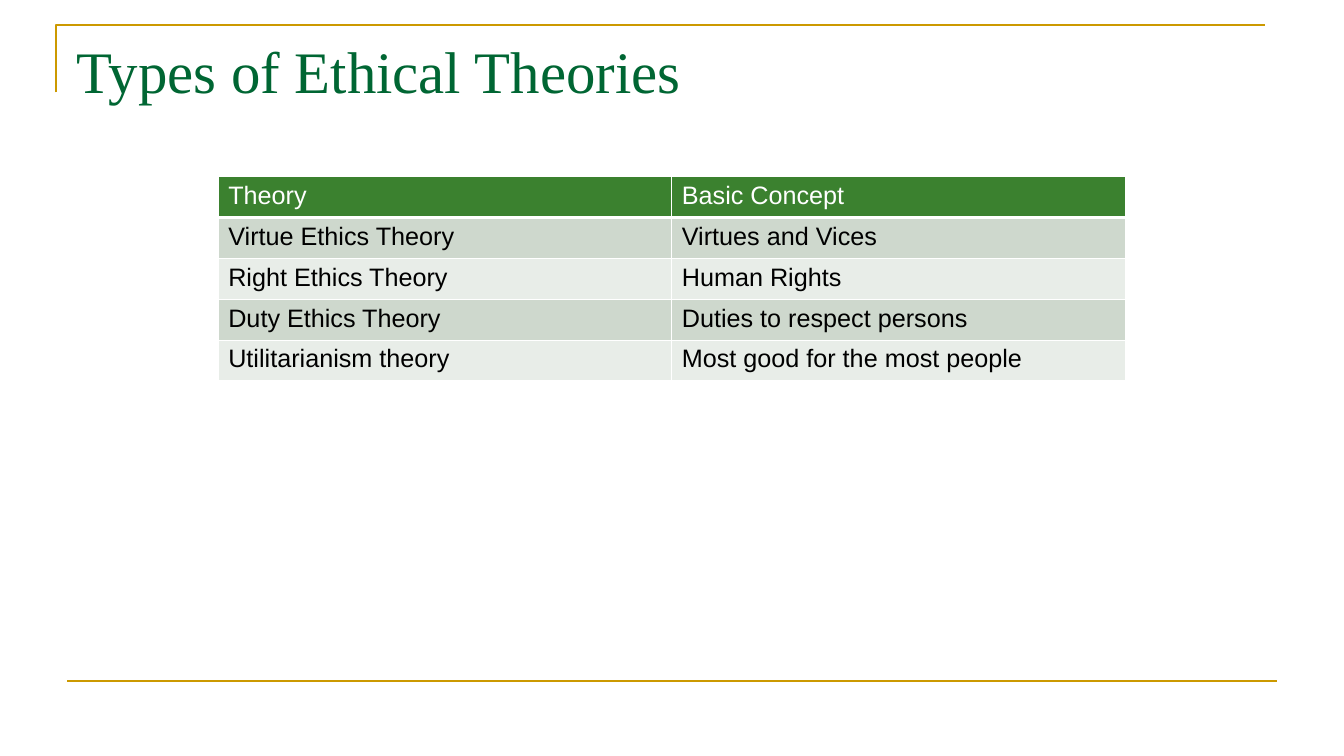
import dataclasses

import pptx
import pptx.dml.color
import pptx.enum.shapes
import pptx.enum.text
import pptx.oxml
import pptx.oxml.ns
import pptx.util

Cm = pptx.util.Cm
Pt = pptx.util.Pt


@dataclasses.dataclass(frozen=True)
class Theme:
    rule: str = "CC9900"
    title: str = "006633"
    header: str = "3B812F"
    bands: tuple = ("CED8CD", "E8EDE8")
    border: str = "FFFFFF"
    header_text: str = "FFFFFF"
    body_text: str = "000000"
    title_font: str = "Times New Roman"
    body_font: str = "Arial"
    title_size: float = 42
    body_size: float = 18
    rule_width: float = 1.5
    border_width: float = 1
    header_border_width: float = 3


THEME = Theme()

THEORIES = [
    ("Theory", "Basic Concept"),
    ("Virtue Ethics Theory", "Virtues and Vices"),
    ("Right Ethics Theory", "Human Rights"),
    ("Duty Ethics Theory", "Duties to respect persons"),
    ("Utilitarianism theory", "Most good for the most people"),
]


def rgb(value):
    return pptx.dml.color.RGBColor.from_string(value)


def write_text(frame, text, *, font, size, color):
    para = frame.paragraphs[0]
    span = para.add_run()
    span.text = text
    span.font.name = font
    span.font.size = Pt(size)
    span.font.color.rgb = rgb(color)


def style_rule(line):
    line.color.rgb = rgb(THEME.rule)
    line.width = Pt(THEME.rule_width)


def add_corner_rule(page, left, top, width, height):
    builder = page.shapes.build_freeform(left, top + height)
    builder.add_line_segments([(left, top), (left + width, top)], close=False)
    corner = builder.convert_to_shape()
    corner.shadow.inherit = False
    corner.fill.background()
    style_rule(corner.line)


def add_rule(page, left, top, width):
    rule = page.shapes.add_connector(
        pptx.enum.shapes.MSO_CONNECTOR.STRAIGHT, left, top, left + width, top
    )
    style_rule(rule.line)
    rule._element.spPr.append(pptx.oxml.parse_xml(
        f"<a:effectLst {pptx.oxml.ns.nsdecls('a')}/>"
    ))


def add_title(page, text, left, top, width, height):
    box = page.shapes.add_textbox(left, top, width, height)
    box.text_frame.word_wrap = True
    box.text_frame.vertical_anchor = pptx.enum.text.MSO_ANCHOR.TOP
    write_text(box.text_frame, text, font=THEME.title_font,
               size=THEME.title_size, color=THEME.title)


def set_borders(cell, bottom_width):
    widths = {"lnL": THEME.border_width, "lnR": THEME.border_width,
              "lnT": THEME.border_width, "lnB": bottom_width}
    properties = cell._tc.get_or_add_tcPr()
    for position, (side, width) in enumerate(widths.items()):
        properties.insert(position, pptx.oxml.parse_xml(
            f"<a:{side} {pptx.oxml.ns.nsdecls('a')} w=\"{Pt(width)}\">"
            f"<a:solidFill><a:srgbClr val=\"{THEME.border}\"/></a:solidFill>"
            f"</a:{side}>"
        ))


def add_theory_table(page, rows, left, top, column_width, row_height):
    columns = len(rows[0])
    table = page.shapes.add_table(
        len(rows), columns, left, top,
        column_width * columns, row_height * len(rows)
    ).table
    for column in table.columns:
        column.width = column_width
    for row_index, values in enumerate(rows):
        is_header = row_index == 0
        fill = THEME.header if is_header else THEME.bands[(row_index - 1) % 2]
        color = THEME.header_text if is_header else THEME.body_text
        bottom = THEME.header_border_width if is_header else THEME.border_width
        for column_index, value in enumerate(values):
            cell = table.cell(row_index, column_index)
            cell.fill.solid()
            cell.fill.fore_color.rgb = rgb(fill)
            set_borders(cell, bottom)
            write_text(cell.text_frame, value, font=THEME.body_font,
                       size=THEME.body_size, color=color)


def main():
    deck = pptx.Presentation()
    deck.slide_width = Cm(33.87)
    deck.slide_height = Cm(19.05)
    page = deck.slides.add_slide(deck.slide_layouts[6])
    page.background.fill.solid()
    page.background.fill.fore_color.rgb = rgb("FFFFFF")

    add_corner_rule(page, Cm(1.41), Cm(0.64), Cm(30.48), Cm(1.69))
    add_rule(page, Cm(1.69), Cm(17.15), Cm(30.48))
    add_title(page, "Types of Ethical Theories",
              Cm(1.69), Cm(0.76), Cm(30.48), Cm(3.18))
    add_theory_table(page, THEORIES, Cm(5.5), Cm(4.45), Cm(11.43), Cm(1.03))

    deck.save("out.pptx")


if __name__ == "__main__":
    main()
